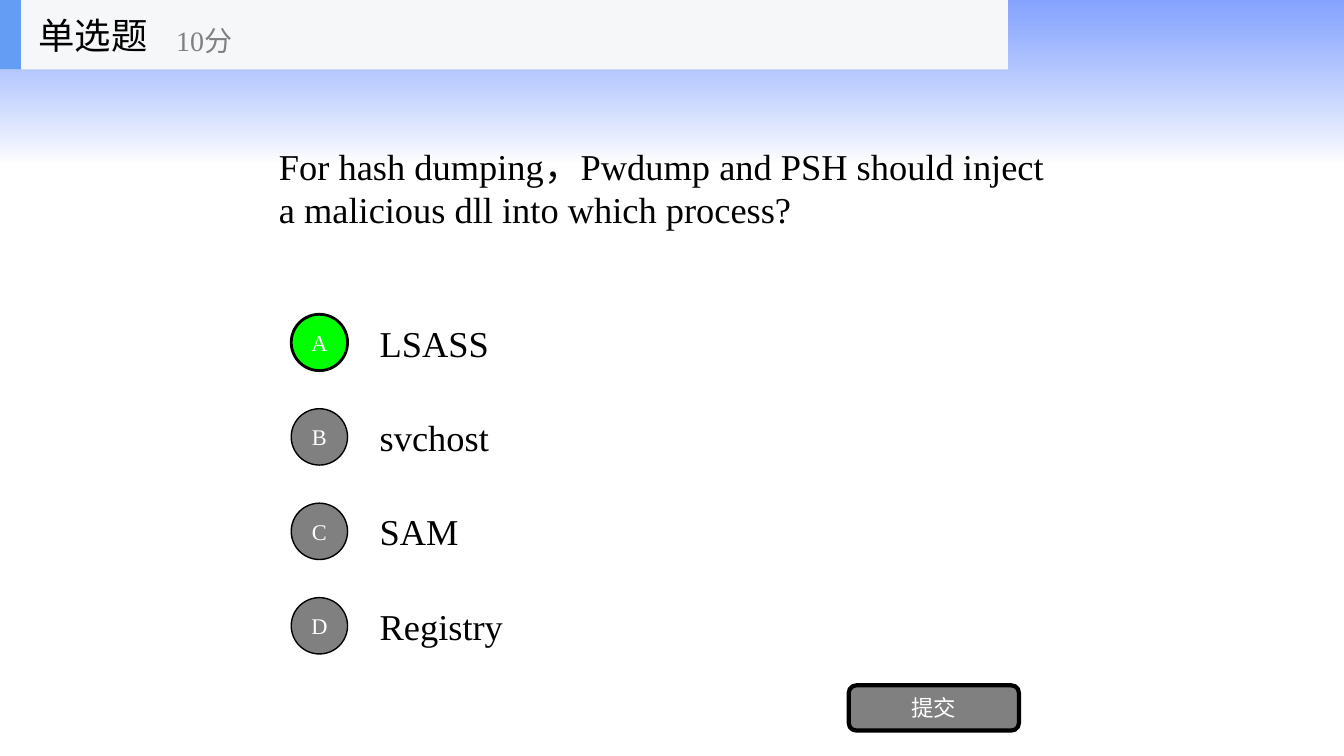
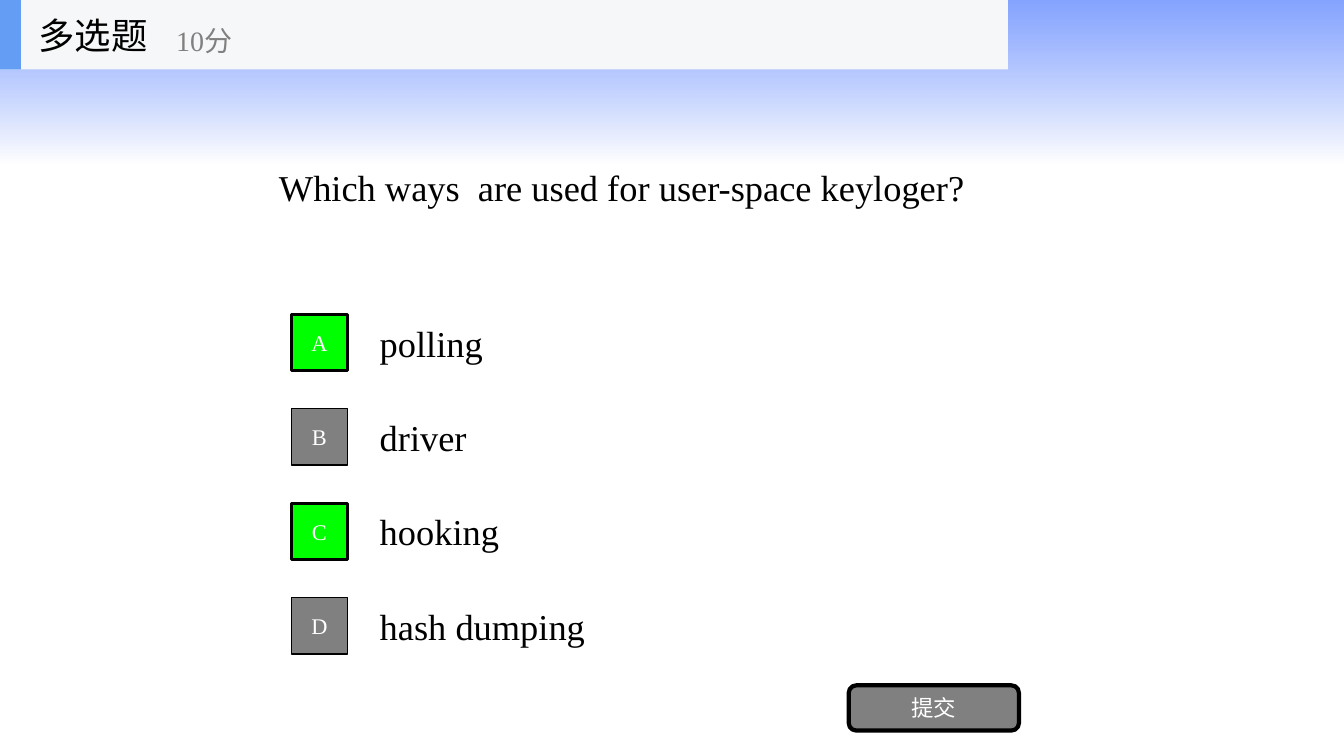
from pptx import Presentation
from pptx.dml.color import RGBColor
from pptx.enum.shapes import MSO_SHAPE
from pptx.enum.text import MSO_ANCHOR, MSO_AUTO_SIZE, PP_ALIGN
from pptx.oxml.ns import qn
from pptx.oxml.xmlchemy import OxmlElement
from pptx.util import Cm, Pt

RECT, OVAL, ROUND = MSO_SHAPE.RECTANGLE, MSO_SHAPE.OVAL, MSO_SHAPE.ROUNDED_RECTANGLE
LEFT, CENTER = PP_ALIGN.LEFT, PP_ALIGN.CENTER
MIDDLE, FIXED = MSO_ANCHOR.MIDDLE, MSO_AUTO_SIZE.NONE

# Content
POINTS, SUBMIT = "10分", "提交"
QUIZ = [
    {"title": "单选题", "mark": OVAL, "right": "A",
     "ask": "For hash dumping，Pwdump and PSH should inject a malicious dll into which process?",
     "picks": ["LSASS", "svchost", "SAM", "Registry"]},
    {"title": "多选题", "mark": RECT, "right": "AC",
     "ask": "Which ways  are used for user-space keyloger?",
     "picks": ["polling", "driver", "hooking", "hash dumping"]},
]

# Shared style, lengths in centimetres
FONT = "Times New Roman"
HEX = {"black": "000000", "white": "FFFFFF", "gray": "808080", "green": "00FF00",
       "sky": "3366FF", "bar": "F6F7F8", "edge": "639EF4"}
WIDE, HIGH = 33.87, 19.05
BAR = 1.75
TOP, STEP, ROW, MARK = 7.74, 2.38, 1.78, 1.42


def color(name):
    return RGBColor.from_string(HEX[name])


def write(shape, text, size, ink="black", align=LEFT):
    frame = shape.text_frame
    frame.text = text
    frame.word_wrap = True
    frame.auto_size = FIXED
    frame.vertical_anchor = MIDDLE
    para = frame.paragraphs[0]
    para.alignment = align
    para.font.name, para.font.size = FONT, Pt(size)
    para.font.color.rgb = color(ink)


def label(slide, box, text, size, ink="black"):
    write(slide.shapes.add_textbox(*map(Cm, box)), text, size, ink)


def block(slide, kind, box, fill=None, line=0):
    shape = slide.shapes.add_shape(kind, *map(Cm, box))
    shape.shadow.inherit = False
    if fill:
        shape.fill.solid()
        shape.fill.fore_color.rgb = color(fill)
    if line:
        shape.line.color.rgb = color("black")
        shape.line.width = Pt(line)
    else:
        shape.line.fill.background()
    return shape


def button(slide, kind, box, text, fill, line):
    shape = block(slide, kind, box, fill, line)
    frame = shape.text_frame
    frame.margin_left = frame.margin_right = 0
    write(shape, text, 16, "white", CENTER)


def backdrop(slide):
    """Draw the shared bands and hand them to the layout."""
    glow = block(slide, RECT, (0, 0, WIDE, 4.11))
    glow.fill.gradient()
    glow.fill.gradient_angle = 270
    for stop, name in zip(glow.fill.gradient_stops, ("sky", "white")):
        stop.color.rgb = color(name)
    for node, share in zip(glow.element.iter(qn("a:srgbClr")), (60, 70)):
        alpha = OxmlElement("a:alpha")
        alpha.set("val", str(share * 1000))
        node.append(alpha)
    bar = block(slide, RECT, (0, 0, 25.4, BAR), "bar")
    edge = block(slide, RECT, (0, 0, 0.53, BAR), "edge")
    for shape in (glow, bar, edge):
        slide.slide_layout.shapes.element.append(shape.element)


def fill_in(slide, item):
    # Heading
    title = slide.shapes.title
    title.left, title.top, title.width, title.height = map(Cm, (0.71, 0, 5.28, BAR))
    write(title, item["title"], 26)
    label(slide, (4.19, 0.3, 6.35, 1.42), POINTS, 20, "gray")

    # Question and choices
    label(slide, (6.78, BAR, 20.32, 5.94), item["ask"], 26)
    for i, (key, pick) in enumerate(zip("ABCD", item["picks"])):
        y = TOP + i * STEP
        fill, line = ("green", 2) if key in item["right"] else ("gray", 1)
        label(slide, (9.32, y, 17.78, ROW), pick, 26)
        button(slide, item["mark"], (7.34, y + (ROW - MARK) / 2, MARK, MARK),
               key, fill, line)
    button(slide, ROUND, (21.39, 17.27, 4.29, 1.14), SUBMIT, "gray", 3)


def main():
    deck = Presentation()
    deck.slide_width, deck.slide_height = Cm(WIDE), Cm(HIGH)
    layout = deck.slide_layouts[5]
    slides = [deck.slides.add_slide(layout) for _ in QUIZ]
    backdrop(slides[0])
    for slide, item in zip(slides, QUIZ):
        fill_in(slide, item)
    deck.save("out.pptx")


if __name__ == "__main__":
    main()
